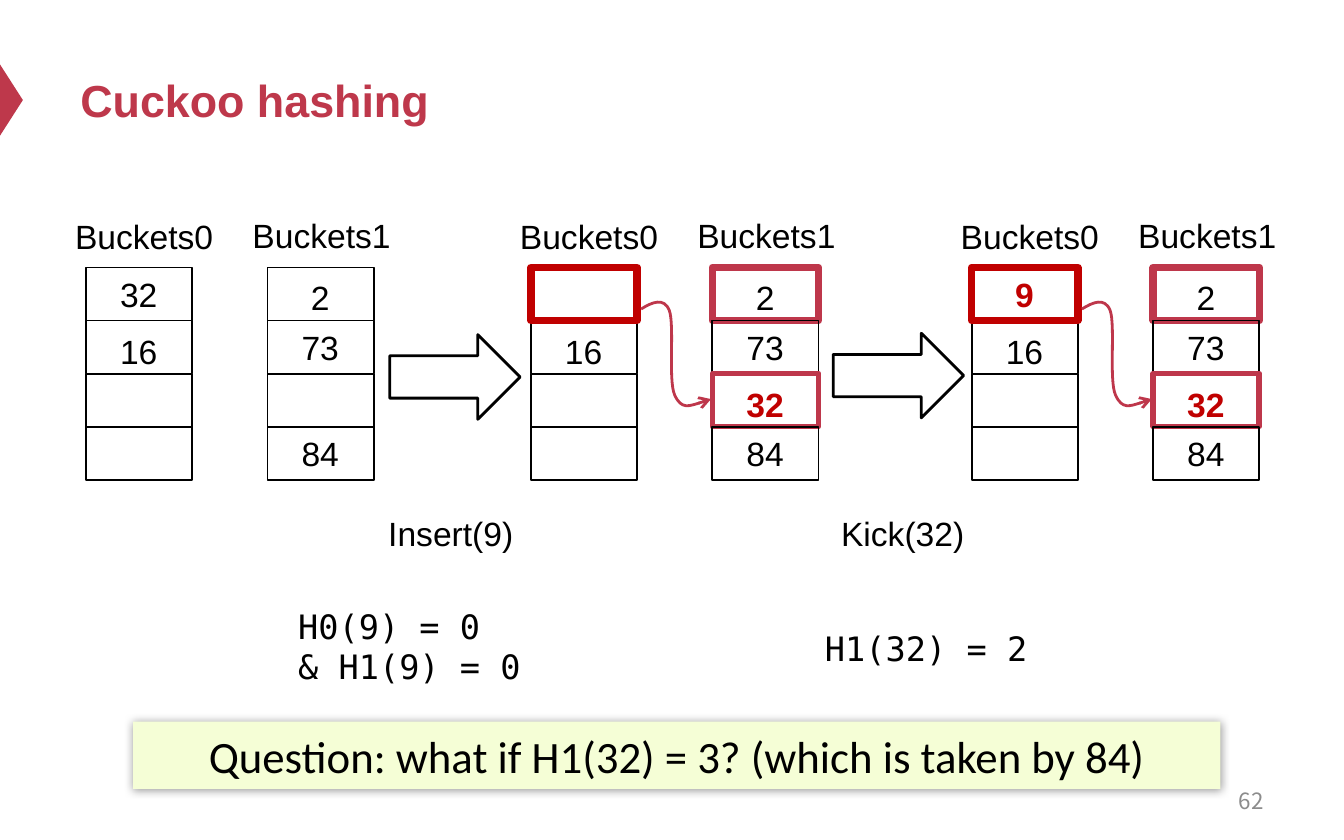
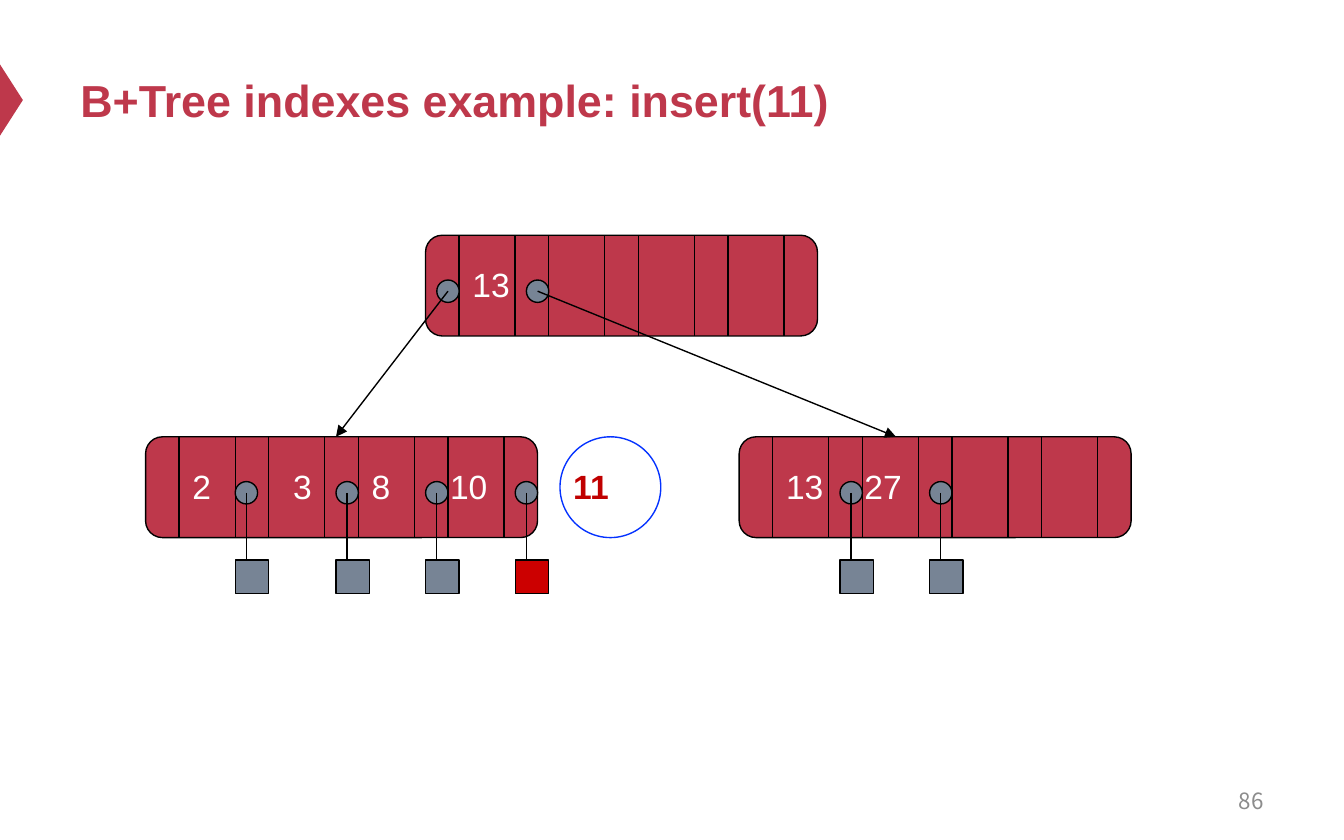
import itertools
from typing import Any, NamedTuple, Optional

import pptx
import pptx.dml.color
import pptx.enum.shapes
import pptx.enum.text
import pptx.oxml
import pptx.oxml.ns
import pptx.util

COLUMNS, ROWS = 120, 75
UNIT = pptx.util.Inches(10) // COLUMNS
TEXT_HEIGHT = 4.8

COLORS = {
    "brand": "BE384B", "kicked": "BE374B", "hot": "C00000", "ink": "000000",
    "paper": "FFFFFF", "muted": "8C8C8C", "note": "F5FED6", "pointer": "778495",
    "new_record": "CC0000", "ring": "0432FF",
}

Pt = pptx.util.Pt
Preset = pptx.enum.shapes.MSO_SHAPE
Align = pptx.enum.text.PP_ALIGN
Anchor = pptx.enum.text.MSO_ANCHOR

FONTS = {
    "title": {"name": "Arial", "size": Pt(24), "bold": True},
    "number": {"name": "Noto Sans CJK SC", "size": Pt(12)},
    "body": {"name": "Arial", "size": Pt(18)},
    "strong": {"name": "Arial", "size": Pt(18), "bold": True},
    "code": {"name": "DejaVu Sans Mono", "size": Pt(18)},
    "question": {"name": "Calibri", "size": Pt(24)},
}


class Box(NamedTuple):
    left: float
    top: float
    width: float
    height: float


class Cell(NamedTuple):
    key: str = ""
    drop: float = 0
    outline: str = "ink"
    weight: float = 1
    key_font: str = "body"
    key_color: str = "ink"


class State(NamedTuple):
    left: float
    buckets: tuple[tuple[Cell, ...], tuple[Cell, ...]]
    kicks: bool


class Step(NamedTuple):
    arrow: Box
    caption: str
    caption_left: float


class Node(NamedTuple):
    left: float
    top: float
    keys: dict[str, float]
    pointers: tuple[float, ...]


def grid(length: float) -> int:
    return round(length * UNIT)


def apply(target: Any, values: dict[str, Any]) -> None:
    for name, value in values.items():
        setattr(target, name, value)


def rgb(color: str) -> pptx.dml.color.RGBColor:
    return pptx.dml.color.RGBColor.from_string(COLORS[color])


def add_element(parent: Any, tag: str, **attributes: str) -> Any:
    child = parent.makeelement(pptx.oxml.ns.qn(tag), attributes)
    parent.append(child)
    return child


def write(frame: Any, text: str, font: str, color: str, align: Any = Align.LEFT,
          indent: float = 0, **frame_format: Any) -> None:
    apply(frame, {"word_wrap": True, "vertical_anchor": Anchor.TOP, **frame_format})
    frame.text = text
    for paragraph in frame.paragraphs:
        if indent:
            paragraph._p.get_or_add_pPr().set("marL", str(grid(indent)))
        paragraph.alignment = align
        apply(paragraph.font, FONTS[font])
        paragraph.font.color.rgb = rgb(color)


def add_text(slide: Any, box: Box, text: str, font: str = "body", color: str = "ink",
             **layout: Any) -> None:
    frame = slide.shapes.add_textbox(*map(grid, box)).text_frame
    write(frame, text, font, color, **layout)


def paint(shape: Any, fill: Optional[str], line: Optional[str], weight: float) -> None:
    shape.shadow.inherit = False
    if fill:
        shape.fill.solid()
        shape.fill.fore_color.rgb = rgb(fill)
    else:
        shape.fill.background()
    if line:
        shape.line.color.rgb = rgb(line)
        shape.line.width = Pt(weight)
    else:
        shape.line.fill.background()


def add_shape(slide: Any, preset: Any, box: Box, fill: Optional[str] = None,
              line: Optional[str] = "ink", weight: float = 0.75) -> Any:
    shape = slide.shapes.add_shape(preset, *map(grid, box))
    paint(shape, fill, line, weight)
    return shape


def add_line(slide: Any, start: tuple[float, float], end: tuple[float, float],
             arrow: bool = False) -> None:
    line = slide.shapes.add_connector(
        pptx.enum.shapes.MSO_CONNECTOR.STRAIGHT, *map(grid, start + end))
    line.line.color.rgb = rgb("ink")
    line.line.width = Pt(0.75)
    if arrow:
        add_element(line.line._get_or_add_ln(), "a:tailEnd", type="triangle")
    add_element(line._element.spPr, "a:effectLst")


def add_key(slide: Any, left: float, top: float, key: str, font: str = "body",
            color: str = "ink") -> None:
    add_text(slide, Box(left, top, key_width(key), TEXT_HEIGHT), key, font, color,
             word_wrap=False)


def key_width(key: str) -> float:
    return 2.4 + 1.68 * len(key)


def start_slide(deck: Any, title: str, number: str) -> Any:
    slide = deck.slides.add_slide(deck.slide_layouts[6])
    marker = add_shape(slide, Preset.ISOSCELES_TRIANGLE, Box(-2.16, 7.92, 6.36, 2.04),
                       "brand", None)
    marker.rotation = 90
    add_text(slide, Box(6, 3, 108, 11.76), title, "title", "brand",
             vertical_anchor=Anchor.MIDDLE)
    add_text(slide, Box(86.04, 69.48, 27.96, 3.96), number, "number", "muted",
             align=Align.RIGHT, vertical_anchor=Anchor.MIDDLE)
    return slide


CELL_WIDTH, CELL_HEIGHT = 9.48, 4.74
BUCKET_TOP, BUCKET_PITCH = 23.88, 16.2
LABELS = (("Buckets0", -2.16, 18.72), ("Buckets1", 13.68, 18.6))
KICK_CURVE = (
    (9.84, 27.6), (10.8, 27), (11.88, 26.52), (12.36, 27.72), (12.84, 29.04),
    (12.24, 33.96), (12.84, 35.28), (13.44, 36.6), (14.76, 36.12), (16.08, 35.64),
)

EMPTY = Cell()
SIXTEEN, SEVENTY_THREE, EIGHTY_FOUR = Cell("16", 0.36), Cell("73"), Cell("84", -0.06)
HIT = Cell("2", 0.24, "kicked", 4)
MOVED = Cell("32", 0.3, "kicked", 3, "strong", "hot")
VACATED = Cell(outline="hot", weight=4)
INSERTED = VACATED._replace(key="9", key_font="strong", key_color="hot")
AFTER_KICK = (HIT, SEVENTY_THREE, MOVED, EIGHTY_FOUR)

STATES = (
    State(7.68, ((Cell("32"), SIXTEEN, EMPTY, EMPTY),
                 (Cell("2", 0.24), SEVENTY_THREE, EMPTY, EIGHTY_FOUR)), False),
    State(47.4, ((VACATED, SIXTEEN, EMPTY, EMPTY), AFTER_KICK), True),
    State(86.76, ((INSERTED, SIXTEEN, EMPTY, EMPTY), AFTER_KICK), True),
)
STEPS = (
    Step(Box(34.8, 29.88, 11.64, 7.56), "Insert(9)", 33.48),
    Step(Box(74.4, 29.76, 11.64, 7.56), "Kick(32)", 73.92),
)


def draw_cell(slide: Any, left: float, top: float, cell: Cell) -> None:
    add_shape(slide, Preset.RECTANGLE, Box(left, top, CELL_WIDTH, CELL_HEIGHT),
              None, cell.outline, cell.weight)
    if cell.key:
        key_left = left + (CELL_WIDTH - key_width(cell.key)) / 2
        add_key(slide, key_left, top + cell.drop, cell.key, cell.key_font, cell.key_color)


def draw_kick(slide: Any, left: float) -> None:
    points = [(grid(left + x), grid(y)) for x, y in KICK_CURVE]
    builder = slide.shapes.build_freeform(*points[0])
    builder.add_line_segments(points[1:], close=False)
    curve = builder.convert_to_shape()
    paint(curve, None, "kicked", 1.5)
    add_element(curve.line._get_or_add_ln(), "a:tailEnd", type="arrow")
    segments = curve._element.xpath(".//a:lnTo")
    outline = segments[0].getparent()
    for first in range(0, len(segments), 3):
        bezier = add_element(outline, "a:cubicBezTo")
        for segment in segments[first:first + 3]:
            bezier.append(segment[0])
            outline.remove(segment)


def draw_state(slide: Any, state: State) -> None:
    for index, bucket in enumerate(state.buckets):
        rows = list(enumerate(bucket))
        for row, cell in rows if index else reversed(rows):
            draw_cell(slide, state.left + index * BUCKET_PITCH,
                      BUCKET_TOP + row * CELL_HEIGHT, cell)
    for label, offset, top in LABELS:
        add_text(slide, Box(state.left + offset, top, 15.72, TEXT_HEIGHT), label)
    if state.kicks:
        draw_kick(slide, state.left)


def draw_cuckoo(deck: Any) -> None:
    slide = start_slide(deck, "Cuckoo hashing", "62")
    for state in STATES:
        draw_state(slide, state)
    for step in STEPS:
        add_shape(slide, Preset.RIGHT_ARROW, step.arrow, weight=1.5)
        add_text(slide, Box(step.caption_left, 45.2, 15.72, TEXT_HEIGHT), step.caption)
    add_text(slide, Box(19.44, 53.52, 47.16, 8.52), "H0(9) = 0\n& H1(9) = 0", "code",
             indent=6)
    add_text(slide, Box(72.48, 55.44, 20.76, TEXT_HEIGHT), "H1(32) = 2", "code",
             word_wrap=False)
    question = add_shape(slide, Preset.RECTANGLE, Box(11.88, 64.44, 97.08, 6), "note", None)
    write(question.text_frame, "Question: what if H1(32) = 3? (which is taken by 84)",
          "question", "ink", align=Align.CENTER)
    effects = question._element.spPr.find(pptx.oxml.ns.qn("a:effectLst"))
    shadow = add_element(effects, "a:outerShdw", blurRad=str(Pt(5)), dist="0", dir="0",
                         algn="ctr", rotWithShape="0")
    shade = add_element(shadow, "a:srgbClr", val=COLORS["ink"])
    add_element(shade, "a:alpha", val="40000")


NODE_WIDTH, NODE_HEIGHT = 35, 9
POINTER_WIDTH, KEY_SLOT = 3, 5
DIVIDERS = tuple(itertools.accumulate((POINTER_WIDTH, KEY_SLOT) * 4))
ROOT = Node(38, 21, {"13": 3}, (1, 9))
LEAVES = (
    Node(13, 39, {"2": 3, "3": 12, "8": 19, "10": 26}, (8, 17, 25, 33)),
    Node(66, 39, {"13": 3, "27": 10}, (9, 17)),
)
CHILD_ENDS = ((30, 39), (80, 39))
NEW_POINTER = 46


def draw_node(slide: Any, node: Node) -> list[tuple[float, float]]:
    body = add_shape(slide, Preset.ROUNDED_RECTANGLE,
                     Box(node.left, node.top, NODE_WIDTH, NODE_HEIGHT), "brand")
    body.adjustments[0] = 0.167
    for offset in DIVIDERS:
        x = node.left + offset
        add_line(slide, (x, node.top), (x, node.top + NODE_HEIGHT))
    for key, offset in node.keys.items():
        add_key(slide, node.left + offset, node.top + 2, key, color="paper")
    for offset in node.pointers:
        add_shape(slide, Preset.OVAL, Box(node.left + offset, node.top + 4, 2, 2), "pointer")
    return [(node.left + offset + 1, node.top + 5) for offset in node.pointers]


def draw_tree(deck: Any) -> None:
    slide = start_slide(deck, "B+Tree indexes example: insert(11)", "86")
    for leaf in LEAVES:
        for x, y in draw_node(slide, leaf):
            add_line(slide, (x, y), (x, y + 8), arrow=True)
            fill = "new_record" if x - 1 == NEW_POINTER else "pointer"
            add_shape(slide, Preset.RECTANGLE, Box(x - 1, y + 6, 3, 3), fill)
    for start, end in zip(draw_node(slide, ROOT), CHILD_ENDS):
        add_line(slide, start, end, arrow=True)
    add_key(slide, 50, 41, "11", "strong", "hot")
    add_shape(slide, Preset.OVAL, Box(50, 39, 9, 9), line="ring")


def main() -> None:
    deck = pptx.Presentation()
    apply(deck, {"slide_width": grid(COLUMNS), "slide_height": grid(ROWS)})
    draw_cuckoo(deck)
    draw_tree(deck)
    deck.save("out.pptx")


if __name__ == "__main__":
    main()
